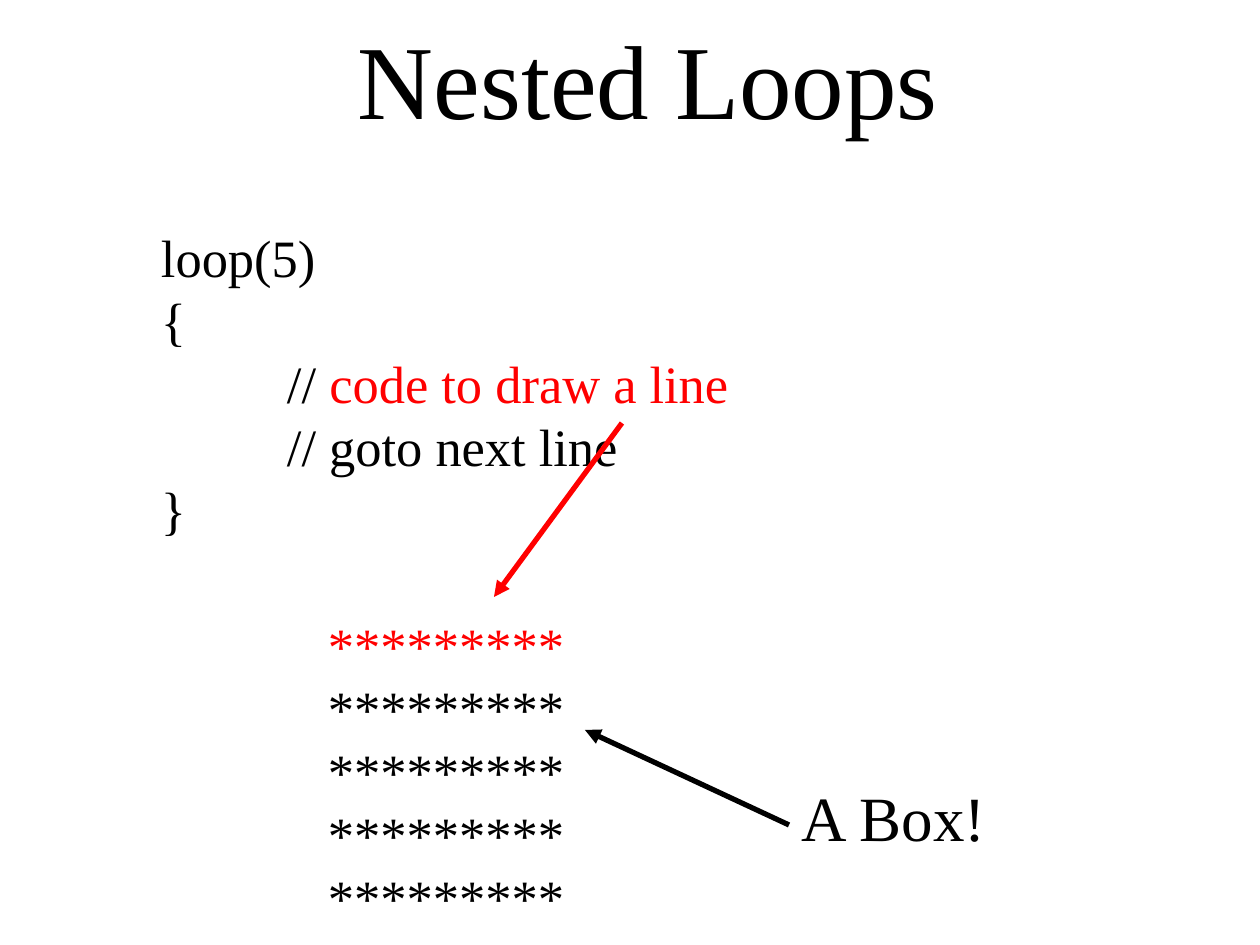
from lxml import etree
from pptx import Presentation
from pptx.dml.color import RGBColor
from pptx.enum.shapes import MSO_CONNECTOR
from pptx.enum.text import MSO_ANCHOR, MSO_AUTO_SIZE, PP_ALIGN
from pptx.oxml.ns import qn
from pptx.util import Emu, Pt

TOP, MIDDLE = MSO_ANCHOR.TOP, MSO_ANCHOR.MIDDLE
LEFT, CENTER = PP_ALIGN.LEFT, PP_ALIGN.CENTER
STRAIGHT = MSO_CONNECTOR.STRAIGHT
NO_AUTOFIT = MSO_AUTO_SIZE.NONE
BLACK, RED = "000000", "FF0000"


def px(pixels):
    """Turn pixels (126 to the inch) into EMU."""
    return Emu(round(pixels * 914400 / 126))


def color(value):
    """Turn a hex string into a colour."""
    return RGBColor.from_string(value)


class SlideBuilder:
    """Holds the style and the current slide."""

    font = "Times New Roman"

    def __init__(self, page):
        self.page = page

    def fill_text(self, box, lines, size, pitch, align=LEFT):
        """Write lines, each an indent and a list of (text, colour) spans."""
        frame = box.text_frame
        for index, (indent, spans) in enumerate(lines):
            para = frame.add_paragraph() if index else frame.paragraphs[0]
            para.alignment = align
            para.space_before = para.space_after = Pt(0)
            para.line_spacing = Pt(pitch)
            properties = para._p.get_or_add_pPr()
            properties.set("marL", str(px(indent)))
            properties.set("indent", "0")
            etree.SubElement(properties, qn("a:buNone"))
            for text, ink in spans:
                span = para.add_run()
                span.text = text
                span.font.name = self.font
                span.font.size = Pt(size)
                span.font.color.rgb = color(ink)

    def frame(self, box, area, inset, anchor):
        """Place a box and set its insets and anchor."""
        box.left, box.top, box.width, box.height = map(px, area)
        frame = box.text_frame
        frame.word_wrap = True
        frame.auto_size = NO_AUTOFIT
        frame.vertical_anchor = anchor
        frame.margin_left = frame.margin_right = px(13)
        frame.margin_top = frame.margin_bottom = px(inset)

    def title(self, text, area, size, pitch):
        """Fill the title placeholder."""
        box = self.page.shapes.title
        self.frame(box, area, 6, MIDDLE)
        self.fill_text(box, [(0, [(text, BLACK)])], size, pitch, CENTER)

    def body(self, lines, area, size, pitch):
        """Fill the body placeholder."""
        box = self.page.placeholders[1]
        self.frame(box, area, 13, TOP)
        self.fill_text(box, lines, size, pitch)

    def text(self, lines, area, size, pitch):
        """Add a text box."""
        box = self.page.shapes.add_textbox(*map(px, area))
        self.frame(box, area, 13, TOP)
        self.fill_text(box, lines, size, pitch)

    def arrow(self, start, end, ink, width=3):
        """Add a straight line with an arrowhead at its end."""
        line = self.page.shapes.add_connector(STRAIGHT, *map(px, start + end))
        line.line.color.rgb = color(ink)
        line.line.width = Pt(width)
        etree.SubElement(line.line._get_or_add_ln(), qn("a:tailEnd"), type="triangle")
        etree.SubElement(line._element.spPr, qn("a:effectLst"))


def main():
    """Build and save the deck."""
    deck = Presentation()
    deck.slide_width, deck.slide_height = px(1260), px(945)
    slide = SlideBuilder(deck.slides.add_slide(deck.slide_layouts[1]))

    slide.title("Nested Loops", (272, 10, 752, 159), 60, 58)
    outer, inner = 63, 189
    code = [
        (outer, [("loop(5)", BLACK)]),
        (outer, [("{", BLACK)]),
        (inner, [("// ", BLACK), ("code to draw a line", RED)]),
        (inner, [("// goto next line", BLACK)]),
        (outer, [("}", BLACK)]),
    ]
    slide.body(code, (85, 212, 1012, 118), 30, 36)

    stars = [(0, [("*" * 9, ink)]) for ink in [RED] + [BLACK] * 4]
    slide.text(stars, (315, 600, 270, 260), 30, 36)
    slide.text([(0, [("A Box!", BLACK)])], (789, 766, 284, 118), 36, 43)

    slide.arrow((789, 825), (585, 730), BLACK)
    slide.arrow((622, 423), (494, 597), RED)
    deck.save("out.pptx")


main()
